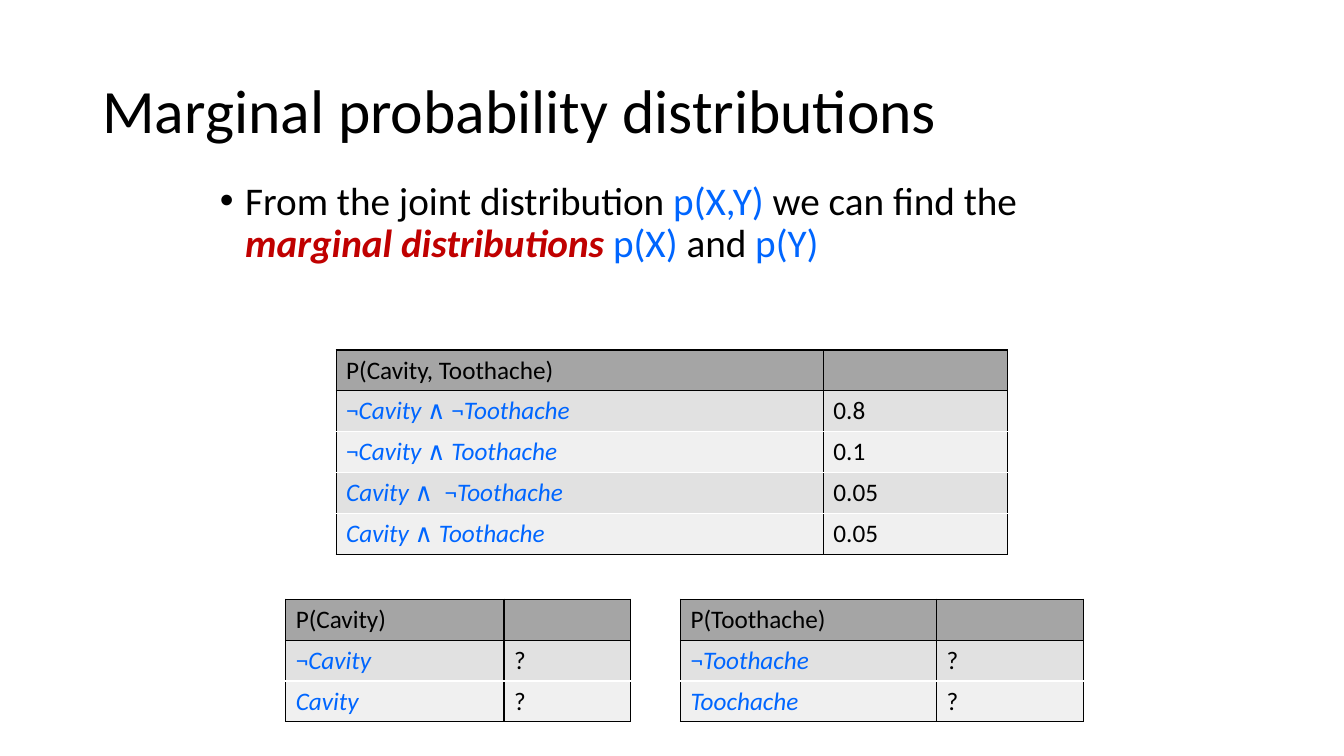
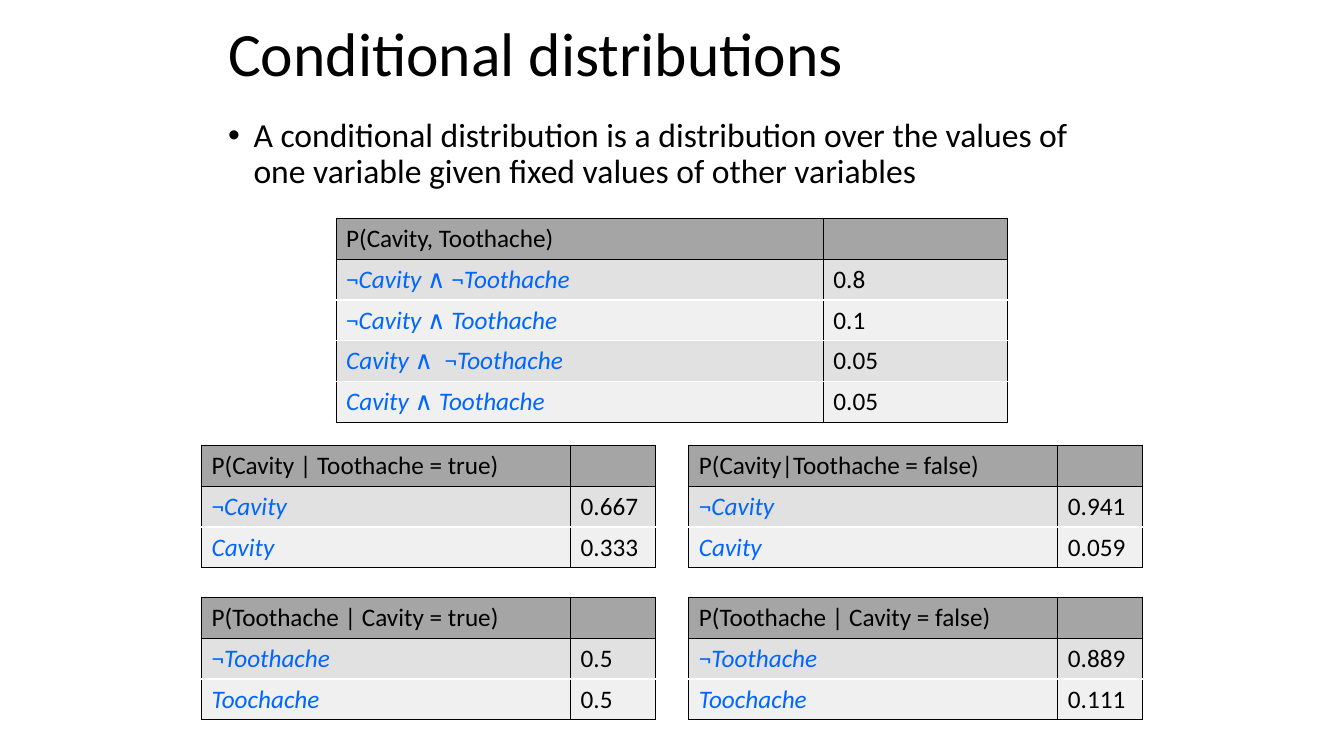
from itertools import groupby

from lxml import etree
from pptx import Presentation
from pptx import util as u
from pptx.dml import color
from pptx.enum import text
from pptx.oxml import ns

FONT = "Calibri"
BLACK, WHITE, BLUE, RED = "000000", "FFFFFF", "0066FF", "C00000"
HEADER, BANDS = "A5A5A5", ("E1E1E1", "F0F0F0")
ROW_HEIGHT = 1.03
JOINT = [
    ("P(Cavity, Toothache)", ""),
    ("¬Cavity ∧ ¬Toothache", "0.8"),
    ("¬Cavity ∧ Toothache", "0.1"),
    ("Cavity ∧  ¬Toothache", "0.05"),
    ("Cavity ∧ Toothache", "0.05"),
]
OUTCOMES = {
    "Cavity": ("¬Cavity", "Cavity"),
    "Toothache": ("¬Toothache", "Toochache"),
}


def rgb(code):
    """Turn a hex string into a colour."""
    return color.RGBColor.from_string(code)


def add_text(paragraph, words, size=18, ink=BLACK, bold=False, italic=False):
    """Append one formatted run to a paragraph."""
    run = paragraph.add_run()
    run.text = words
    font = run.font
    font.name, font.size, font.bold, font.italic = FONT, u.Pt(size), bold, italic
    font.color.rgb = rgb(ink)


def add_frame(slide, box, anchor):
    """Add a wrapping text box and return its first paragraph."""
    frame = slide.shapes.add_textbox(*map(u.Cm, box)).text_frame
    frame.word_wrap = True
    frame.vertical_anchor = anchor
    frame.paragraphs[0].line_spacing = 0.9
    return frame.paragraphs[0]


def add_title(slide, box, words):
    """Place the slide title in its box."""
    add_text(add_frame(slide, box, text.MSO_ANCHOR.MIDDLE), words, size=44)


def add_statement(slide, box, pieces, size):
    """Place one bulleted statement made of (words, format) pieces."""
    statement = add_frame(slide, box, text.MSO_ANCHOR.TOP)
    statement.space_before = u.Pt(10)
    props = statement._p.get_or_add_pPr()
    indent = u.Cm(0.64)
    props.set("marL", str(indent))
    props.set("indent", str(-indent))
    etree.SubElement(props, ns.qn("a:buFont"), typeface="Arial")
    etree.SubElement(props, ns.qn("a:buChar"), char="•")
    for words, look in pieces:
        add_text(statement, words, size=size, **look)


def add_borders(cell, top, bottom):
    """Draw black sides and the given top and bottom edges."""
    props = cell._tc.get_or_add_tcPr()
    for side, ink in (("L", BLACK), ("R", BLACK), ("T", top), ("B", bottom)):
        edge = etree.SubElement(props, ns.qn(f"a:ln{side}"), w=str(u.Pt(1)))
        fill = etree.SubElement(edge, ns.qn("a:solidFill"))
        etree.SubElement(fill, ns.qn("a:srgbClr"), val=ink)


def add_outcome(paragraph, outcome):
    """Write an event with italic variables and upright logic symbols."""
    for is_symbol, letters in groupby(outcome, lambda letter: letter in "¬∧ "):
        add_text(paragraph, "".join(letters), ink=BLUE, italic=not is_symbol)


def add_distribution(slide, left, top, widths, rows):
    """Place a probability table with a header row and banded outcomes."""
    grid = slide.shapes.add_table(
        len(rows), len(widths), u.Cm(left), u.Cm(top),
        u.Cm(sum(widths)), u.Cm(ROW_HEIGHT * len(rows))).table
    grid.first_row = grid.horz_banding = False
    for column, width in zip(grid.columns, widths):
        column.width = u.Cm(width)
    for r, row in enumerate(rows):
        grid.rows[r].height = u.Cm(ROW_HEIGHT)
        for c, words in enumerate(row):
            cell = grid.cell(r, c)
            add_borders(cell, BLACK if r < 2 else WHITE,
                        BLACK if r in (0, len(rows) - 1) else WHITE)
            cell.fill.solid()
            cell.fill.fore_color.rgb = rgb(BANDS[(r - 1) % 2] if r else HEADER)
            paragraph = cell.text_frame.paragraphs[0]
            if r and c == 0:
                add_outcome(paragraph, words)
            elif words:
                add_text(paragraph, words)


def add_joint(slide, top):
    """Place the joint distribution at the given height."""
    add_distribution(slide, 8.47, top, (12.28, 4.65), JOINT)


def add_single(slide, left, top, widths, heading, variable, values):
    """Place the distribution of one variable."""
    rows = [(heading, ""), *zip(OUTCOMES[variable], values)]
    add_distribution(slide, left, top, widths, rows)


def marginal_slide(slide):
    """Build the slide on marginal distributions."""
    add_title(slide, (2.33, 1.01, 29.21, 3.68), "Marginal probability distributions")
    add_statement(slide, (5.29, 4.45, 23.28, 12.57), [
        ("From the joint distribution ", {}),
        ("p(X,Y)", {"ink": BLUE}),
        (" we can find the ", {}),
        ("marginal distributions ", {"ink": RED, "bold": True, "italic": True}),
        ("p(X) ", {"ink": BLUE}),
        ("and", {}),
        (" p(Y)", {"ink": BLUE}),
    ], size=28)
    add_joint(slide, 8.82)
    for left, widths, variable in ((7.2, (5.5, 3.18), "Cavity"),
                                   (17.15, (6.45, 3.71), "Toothache")):
        add_single(slide, left, 15.1, widths, f"P({variable})", variable, "??")


def conditional_slide(slide):
    """Build the slide on conditional distributions."""
    add_title(slide, (5.5, 0.21, 22.86, 2.42), "Conditional distributions")
    add_statement(slide, (5.5, 2.86, 22.86, 3.89), [
        ("A conditional distribution is a distribution over the values of "
         "one variable given fixed values of other variables", {}),
    ], size=24)
    add_joint(slide, 5.5)
    conditionals = [
        ("P(Cavity | Toothache = true)", "Cavity", ("0.667", "0.333")),
        ("P(Cavity|Toothache = false)", "Cavity", ("0.941", "0.059")),
        ("P(Toothache | Cavity = true)", "Toothache", ("0.5", "0.5")),
        ("P(Toothache | Cavity = false)", "Toothache", ("0.889", "0.111")),
    ]
    for index, conditional in enumerate(conditionals):
        row, column = divmod(index, 2)
        add_single(slide, 5.08 + 12.28 * column, 11.22 + 3.83 * row,
                   (9.3, 2.13), *conditional)


def main():
    """Build and save the presentation."""
    deck = Presentation()
    deck.slide_width, deck.slide_height = u.Cm(33.87), u.Cm(19.05)
    for build in (marginal_slide, conditional_slide):
        build(deck.slides.add_slide(deck.slide_layouts[6]))
    deck.save("out.pptx")


if __name__ == "__main__":
    main()
